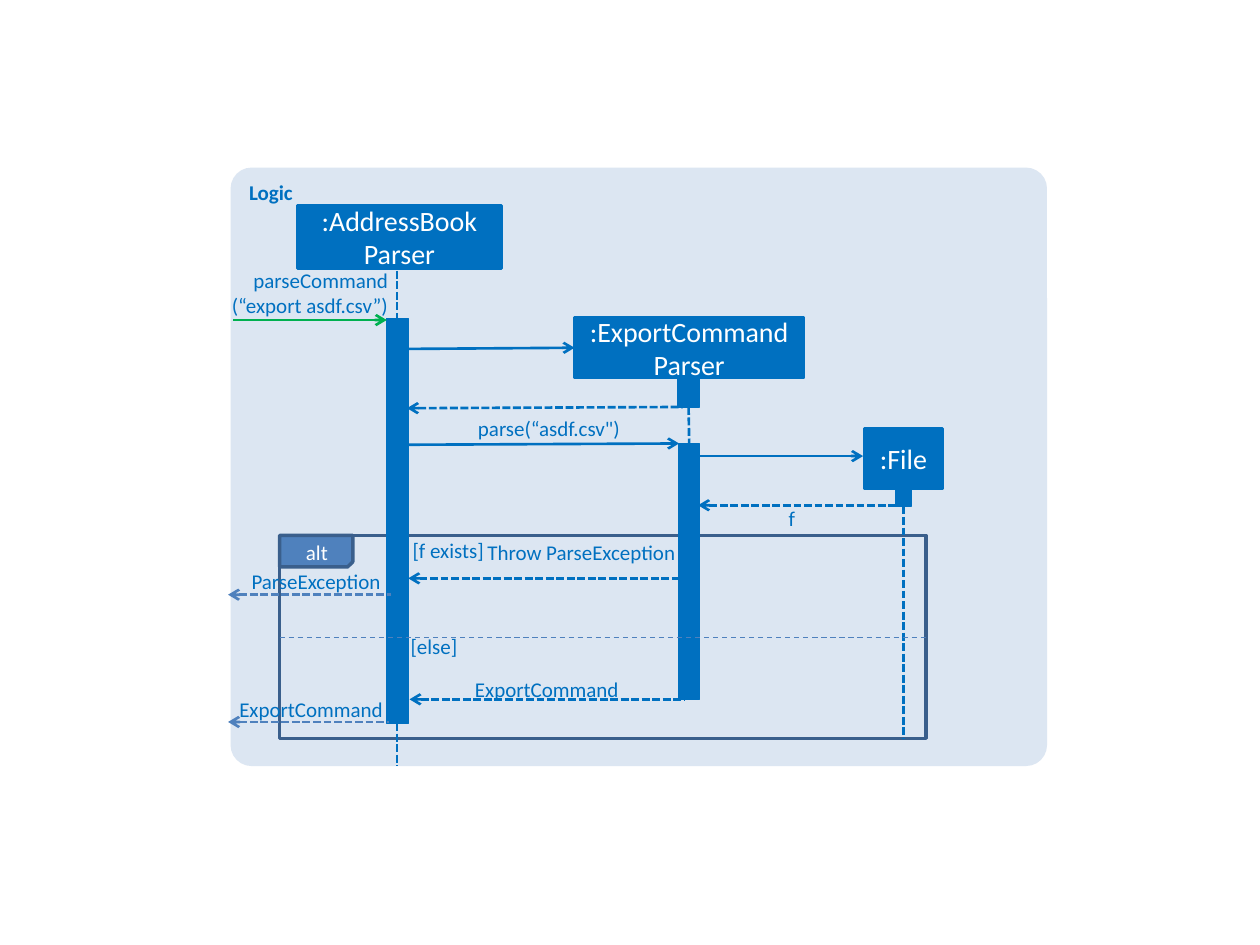
from dataclasses import dataclass
from typing import Optional

from lxml import etree
from pptx import Presentation
from pptx.dml.color import RGBColor
from pptx.enum.dml import MSO_LINE
from pptx.enum.shapes import MSO_CONNECTOR, MSO_SHAPE
from pptx.enum.text import MSO_ANCHOR, PP_ALIGN
from pptx.oxml.ns import qn
from pptx.util import Inches, Pt

RECTANGLE = MSO_SHAPE.RECTANGLE
ROUNDED = MSO_SHAPE.ROUNDED_RECTANGLE
SNIPPED = MSO_SHAPE.SNIP_1_RECTANGLE
STRAIGHT = MSO_CONNECTOR.STRAIGHT
SHORT_DASH, LONG_DASH = MSO_LINE.SQUARE_DOT, MSO_LINE.DASH
LEFT, CENTER, RIGHT = PP_ALIGN.LEFT, PP_ALIGN.CENTER, PP_ALIGN.RIGHT
TOP, MIDDLE = MSO_ANCHOR.TOP, MSO_ANCHOR.MIDDLE
TOP_SIDE, LEFT_SIDE, BOTTOM_SIDE = 0, 1, 2
AT_START, AT_END = "a:headEnd", "a:tailEnd"

BLUE = RGBColor(0x00, 0x70, 0xC0)
PALE = RGBColor(0xDC, 0xE6, 0xF2)
FRAME = RGBColor(0x3A, 0x5F, 0x8C)
STEEL = RGBColor(0x4F, 0x81, 0xBD)
GREEN = RGBColor(0x00, 0xB0, 0x50)
WHITE = RGBColor(0xFF, 0xFF, 0xFF)
FONT = "Calibri"


@dataclass
class Box:
    left: float
    top: float
    width: float
    height: float
    text: str = ""
    fill: RGBColor = BLUE
    line: Optional[RGBColor] = BLUE
    weight: float = 0.75
    kind: int = RECTANGLE


@dataclass
class Line:
    start: tuple[float, float]
    end: tuple[float, float]
    arrow: Optional[str] = None
    dash: Optional[int] = SHORT_DASH
    color: RGBColor = BLUE
    weight: float = 1.5


@dataclass
class Label:
    left: float
    top: float
    width: float
    text: str
    height: float = 0.2
    color: RGBColor = BLUE
    align: int = RIGHT
    inset: float = 0


PANEL = Box(1.83, 1.33, 6.48, 4.75, "Logic", PALE, None, kind=ROUNDED)
ALT_FRAME = Box(2.22, 4.25, 5.13, 1.61, "", PALE, FRAME, 2)
ALT_TAB = Box(2.22, 4.25, 0.58, 0.25, "", STEEL, FRAME, 2, SNIPPED)

BARS = {
    "address book": Box(3.07, 2.53, 0.17, 3.21),
    "export created": Box(5.38, 2.67, 0.17, 0.56),
    "export parsing": Box(5.39, 3.52, 0.16, 2.03),
    "file created": Box(7.11, 3.75, 0.12, 0.27),
}
HEADS = {
    "address book": Box(2.36, 1.63, 1.62, 0.5, ":AddressBook\nParser", weight=1.5),
    "export": Box(4.56, 2.52, 1.82, 0.48, ":ExportCommandParser", weight=1.5),
    "file": Box(6.86, 3.4, 0.62, 0.48, ":File", weight=1.5),
}

ADDRESS_LIFELINE = Line((3.15, 2.15), (3.15, 6.08))
EXPORT_LIFELINE = Line((5.47, 3.23), (5.47, 3.52))
FILE_LIFELINE = Line((7.17, 4.02), (7.17, 5.86))
CREATE_EXPORT = Line((3.15, 2.77), (4.56, 2.76), AT_END, None)
ALT_DIVIDER = Line((2.22, 5.06), (7.36, 5.06), None, LONG_DASH, STEEL, 0.75)

MESSAGES = [
    Line((1.85, 2.54), (3.07, 2.54), AT_END, None, GREEN),
    Line((3.19, 3.53), (5.39, 3.52), AT_END, None),
    Line((5.54, 3.62), (6.85, 3.62), AT_END, None),
    Line((5.54, 4.01), (7.14, 4.01), AT_START),
    Line((3.23, 3.24), (5.42, 3.23), AT_START),
    Line((3.24, 4.59), (5.43, 4.59), AT_START),
    Line((3.25, 5.55), (5.44, 5.55), AT_START),
    Line((1.81, 4.72), (3.1, 4.72), AT_START, color=STEEL),
    Line((1.81, 5.73), (3.09, 5.73), AT_START, color=STEEL),
]
LABELS = [
    Label(1.83, 2.12, 1.25, "parseCommand\n(“export asdf.csv”)", 0.4),
    Label(3.7, 3.3, 1.22, "parse(“asdf.csv\")"),
    Label(6.19, 4.01, 0.12, "f"),
    Label(2.33, 4.23, 0.38, "alt", 0.3, WHITE, LEFT, 0.1),
    Label(3.27, 4.27, 0.57, "[f exists]"),
    Label(3.82, 4.28, 1.54, "Throw ParseException"),
    Label(1.97, 4.51, 1.05, "ParseException"),
    Label(3.25, 5.03, 0.38, "[else]"),
    Label(3.76, 5.37, 1.15, "ExportCommand"),
    Label(1.88, 5.53, 1.16, "ExportCommand"),
]


def write(frame, text: str, size: int, color: RGBColor, align: int, bold: bool = False) -> None:
    frame.text = text
    for para in frame.paragraphs:
        para.alignment = align
        para.font.name, para.font.size, para.font.bold = FONT, Pt(size), bold
        para.font.color.rgb = color


def draw_box(page, box: Box):
    shape = page.shapes.add_shape(
        box.kind, Inches(box.left), Inches(box.top), Inches(box.width), Inches(box.height))
    shape.shadow.inherit = False
    shape.fill.solid()
    shape.fill.fore_color.rgb = box.fill
    if box.line is None:
        shape.line.fill.background()
    else:
        shape.line.color.rgb = box.line
        shape.line.width = Pt(box.weight)
    if box.text:
        shape.text_frame.vertical_anchor = MIDDLE
        write(shape.text_frame, box.text, 16, WHITE, CENTER)
    return shape


def draw_line(page, line: Line):
    connector = page.shapes.add_connector(
        STRAIGHT, *(Inches(value) for value in (*line.start, *line.end)))
    connector.line.color.rgb = line.color
    connector.line.width = Pt(line.weight)
    if line.dash is not None:
        connector.line.dash_style = line.dash
    if line.arrow:
        outline = connector.line._get_or_add_ln()
        etree.SubElement(outline, qn(line.arrow), type="arrow")
    etree.SubElement(connector._element.spPr, qn("a:effectLst"))
    return connector


def draw_label(page, label: Label) -> None:
    box = page.shapes.add_textbox(
        Inches(label.left), Inches(label.top), Inches(label.width), Inches(label.height))
    frame = box.text_frame
    frame.word_wrap = True
    frame.margin_left = frame.margin_right = Inches(label.inset)
    frame.margin_top = frame.margin_bottom = Inches(label.inset / 2)
    write(frame, label.text, 12, label.color, label.align)


def main() -> None:
    deck = Presentation()
    deck.slide_width, deck.slide_height = Inches(10), Inches(7.5)
    page = deck.slides.add_slide(deck.slide_layouts[6])

    # Component panel and alternative frame
    panel = draw_box(page, PANEL)
    panel.adjustments[0] = 0.035
    panel.text_frame.vertical_anchor = TOP
    write(panel.text_frame, PANEL.text, 12, BLUE, LEFT, bold=True)
    draw_box(page, ALT_FRAME)

    # Lifelines, activation bars and object heads
    draw_line(page, ADDRESS_LIFELINE)
    bars = {name: draw_box(page, box) for name, box in BARS.items()}
    heads = {name: draw_box(page, box) for name, box in HEADS.items()}
    export_lifeline = draw_line(page, EXPORT_LIFELINE)
    export_lifeline.begin_connect(bars["export created"], BOTTOM_SIDE)
    export_lifeline.end_connect(bars["export parsing"], TOP_SIDE)
    file_lifeline = draw_line(page, FILE_LIFELINE)
    file_lifeline.begin_connect(bars["file created"], BOTTOM_SIDE)

    # Alternative tab and divider
    draw_line(page, ALT_DIVIDER)
    tab = draw_box(page, ALT_TAB)
    tab._element.spPr.xfrm.set("flipV", "1")

    # Messages and their labels
    draw_line(page, CREATE_EXPORT).end_connect(heads["export"], LEFT_SIDE)
    for message in MESSAGES:
        draw_line(page, message)
    for label in LABELS:
        draw_label(page, label)

    deck.save("out.pptx")


if __name__ == "__main__":
    main()
